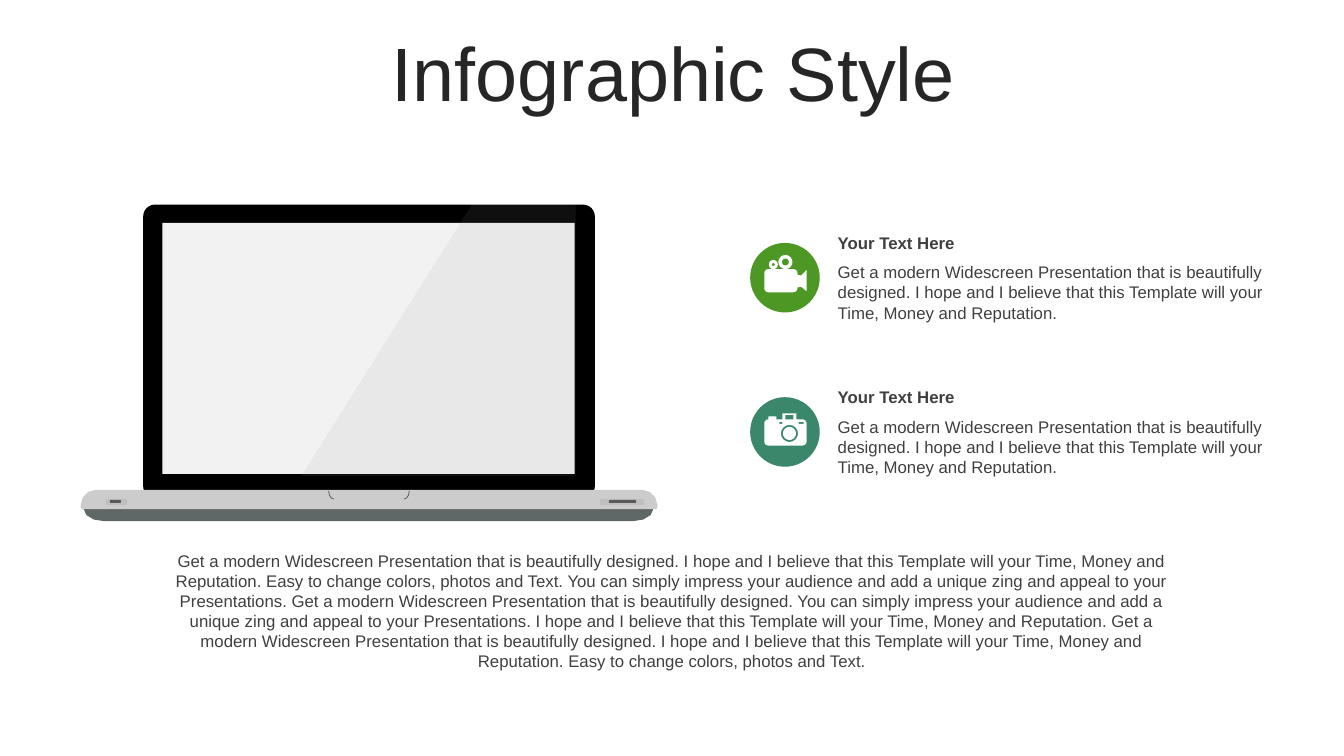
from math import cos, pi, sin

from lxml.etree import SubElement
from pptx import Presentation
from pptx.dml.color import RGBColor
from pptx.enum.shapes import MSO_SHAPE
from pptx.enum.text import MSO_ANCHOR, PP_ALIGN
from pptx.oxml.ns import qn
from pptx.util import Inches, Pt

INK = "404040"
PROMISE = "Get a modern Widescreen Presentation that is beautifully designed."
HOPE = "I hope and I believe that this Template will your Time, Money and Reputation."
EASY = "Easy to change colors, photos and Text."
IMPRESS = ("You can simply impress your audience and add a unique zing "
           "and appeal to your Presentations.")
SUMMARY = " ".join([PROMISE, HOPE, EASY, IMPRESS, PROMISE, IMPRESS, HOPE,
                    PROMISE, HOPE, EASY])


def rgb(color):
    return RGBColor.from_string(color)


def arc(cx, cy, rx, ry, start, end, steps=3):
    """Points of an elliptical arc, angles in degrees clockwise from the right."""
    if not rx:
        return [(cx, cy)]
    angles = [(start + (end - start) * i / steps) * pi / 180 for i in range(steps + 1)]
    return [(cx + rx * cos(a), cy + ry * sin(a)) for a in angles]


def circle(cx, cy, r):
    return arc(cx, cy, r, r, 0, 360, 16)[:-1]


def rounded(x, y, w, h, top=0, bottom=0):
    """Rectangle outline with separate radii for its top and bottom corners."""
    ty, by = min(top, h), min(bottom, h)
    return (arc(x + top, y + ty, top, ty, 180, 270)
            + arc(x + w - top, y + ty, top, ty, 270, 360)
            + arc(x + w - bottom, y + h - by, bottom, by, 0, 90)
            + arc(x + bottom, y + h - by, bottom, by, 90, 180))


def paint(sp, color):
    sp.shadow.inherit = False
    sp.fill.solid()
    sp.fill.fore_color.rgb = rgb(color)
    sp.line.fill.background()


def draw(s, box, columns, contours, color, outline=False):
    """Draw contours on a square grid that splits the box width into columns."""
    left, top, width, _ = box
    unit = width / columns
    contours = [[(Inches(left + x * unit), Inches(top + y * unit)) for x, y in c]
                for c in contours]
    builder = s.shapes.build_freeform(*contours[0][0])
    for i, points in enumerate(contours):
        if i:
            builder.move_to(*points[0])
        builder.add_line_segments(points[1:], close=not outline)
    sp = builder.convert_to_shape()
    paint(sp, color)
    if outline:
        sp.fill.background()
        sp.line.color.rgb = rgb(color)
        sp.line.width = Pt(0.5)
    return sp


def add_preset(s, kind, box, color, radius=None):
    sp = s.shapes.add_shape(kind, *map(Inches, box))
    if radius is not None:
        sp.adjustments[0] = radius
    paint(sp, color)


def add_text(s, box, text, align=PP_ALIGN.LEFT, anchor=MSO_ANCHOR.TOP, bold=False):
    tf = s.shapes.add_textbox(*map(Inches, box)).text_frame
    tf.word_wrap = True
    tf.vertical_anchor = anchor
    p = tf.paragraphs[0]
    p.alignment = align
    r = p.add_run()
    r.text = text
    for name, value in {"name": "Arial", "size": Pt(12), "bold": bold}.items():
        setattr(r.font, name, value)
    r.font.color.rgb = rgb(INK)


def add_title(s, box, text):
    title = s.shapes.title
    for name, value in zip(("left", "top", "width", "height"), box):
        setattr(title, name, Inches(value))
    tf = title.text_frame
    tf.text = text
    tf.vertical_anchor = MSO_ANCHOR.MIDDLE
    p = tf.paragraphs[0]
    p.alignment = PP_ALIGN.CENTER
    p.line_spacing = 0.9
    for name, value in {"name": "Arial", "size": Pt(54)}.items():
        setattr(p.font, name, value)
    p.font.color.rgb = rgb("262626")


def add_laptop(s, box):
    left, top, width, _ = box
    columns = 572
    unit = width / columns

    def add_part(x, y, w, h, color, radius):
        part = (left + x * unit, top + y * unit, w * unit, h * unit)
        add_preset(s, MSO_SHAPE.ROUNDED_RECTANGLE, part, color, radius)

    draw(s, box, columns, [rounded(3, 302, 565, 12, bottom=20)], "5F6767")
    add_part(62, 0, 448, 291, "000000", 0.04)
    add_part(81, 18, 409, 249, "F2F2F2", 0)
    draw(s, box, columns, [rounded(0, 283, 572, 19, top=15, bottom=2)], "CCCCCC")
    notch = [arc(251, 284, 5, 8, 180, 90), arc(321, 284, 5, 8, 0, 90)]
    draw(s, box, columns, notch, "4D4D4D", outline=True)
    for x, w, inset, inner in [(25, 21, 4, 11), (515, 44, 9, 27)]:
        add_part(x, 292, w, 6, "BFBFBF", 0.28)
        add_part(x + inset, 293, inner, 3, "595959", 0.28)
    sheen = draw(s, box, columns, [[(388, 0), (491, 0), (491, 269), (219, 269)]], "999999")
    tint = sheen.element.spPr.find(qn("a:solidFill"))[0]
    SubElement(tint, qn("a:alpha"), val="10000")


def add_feature(s, box, color, icon):
    """Icon disc on the left, heading and description on the right."""
    left, top, width, _ = box
    disc, text_left, heading = 0.69, 0.77, 0.3
    disc_box = (left, top + 0.15, disc, disc)
    add_preset(s, MSO_SHAPE.OVAL, disc_box, color)
    draw(s, disc_box, 69, icon, "FFFFFF")
    x, w = left + text_left, width - text_left
    add_text(s, (x, top, w, heading), "Your Text Here",
             anchor=MSO_ANCHOR.MIDDLE, bold=True)
    add_text(s, (x, top + heading - 0.01, w, 0.71), f"{PROMISE} {HOPE}")


MOVIE_CAMERA = [
    rounded(14, 26, 33, 23, 4, 4),
    rounded(47, 32, 3, 12),
    [(50, 33), (56, 27), (56, 48), (50, 43)],
    circle(23, 21.5, 4.5), circle(23, 21.5, 1.5),
    circle(35, 19, 7), circle(35, 19, 3.5),
]
PHOTO_CAMERA = [
    rounded(14, 22, 42, 26, 4, 4),
    rounded(18, 19, 8, 3),
    rounded(32, 16, 14, 6), rounded(35, 17.5, 8, 4.5),
    rounded(29, 24.5, 3, 2), rounded(48, 24.5, 5, 2),
    circle(39, 36, 8.5), circle(39, 36, 6.5),
]


def main():
    prs = Presentation()
    prs.slide_width, prs.slide_height = Inches(13.33), Inches(7.5)
    s = prs.slides.add_slide(prs.slide_layouts[5])
    add_title(s, (0.35, 0.37, 12.66, 0.79), "Infographic Style")
    add_laptop(s, (0.8, 2.03, 5.72, 3.14))
    features = [("4D9724", MOVIE_CAMERA), ("3A876B", PHOTO_CAMERA)]
    for row, (color, icon) in enumerate(features):
        add_feature(s, (7.44, 2.26 + row * 1.53, 5.25, 1), color, icon)
    add_text(s, (1.59, 5.41, 10.15, 1.31), SUMMARY, align=PP_ALIGN.CENTER)
    prs.save("out.pptx")


if __name__ == "__main__":
    main()
